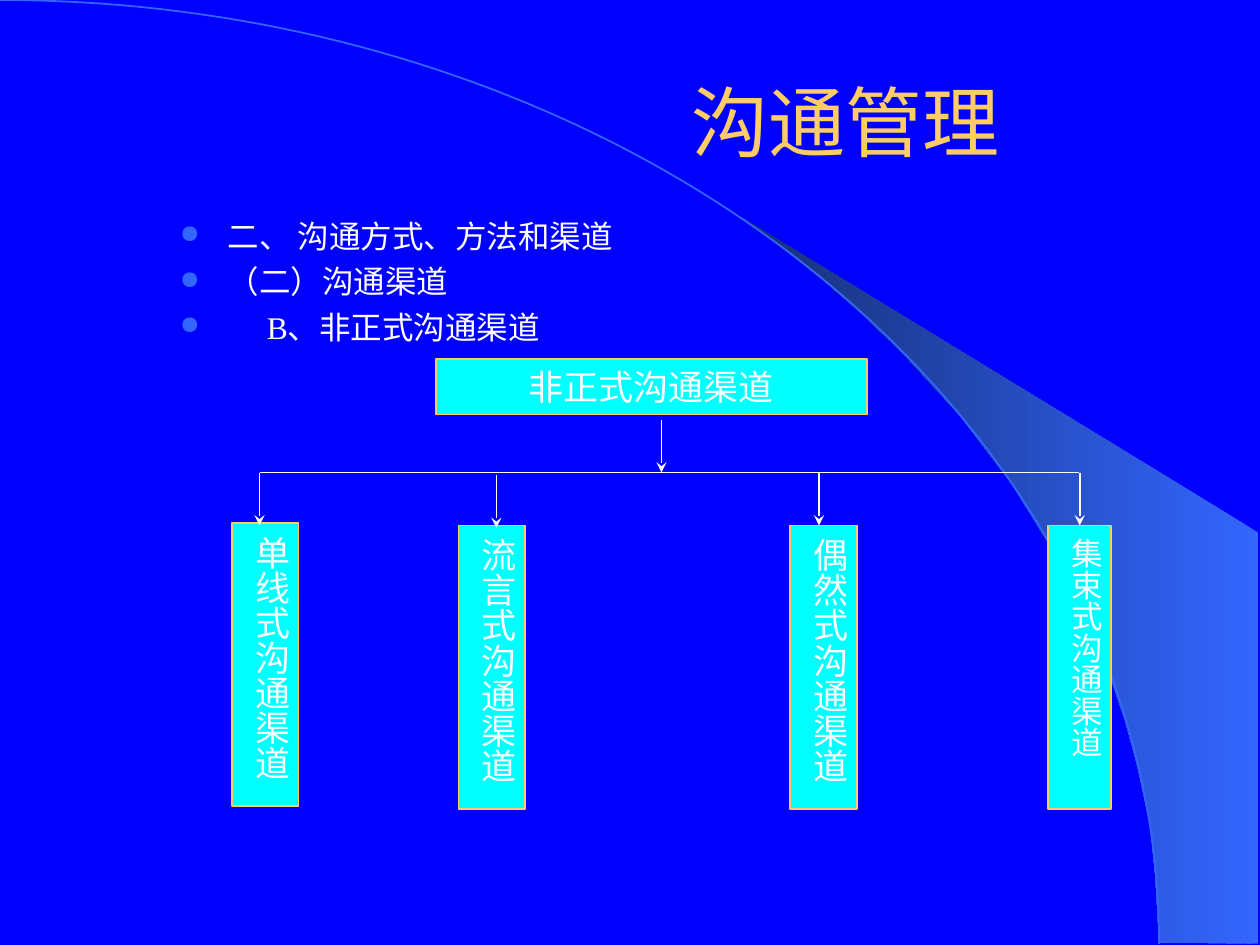
from dataclasses import dataclass
from math import cos, pi, sin

from lxml import etree
from pptx import Presentation
from pptx.dml.color import RGBColor
from pptx.enum.shapes import MSO_CONNECTOR, MSO_SHAPE
from pptx.enum.text import MSO_ANCHOR, PP_ALIGN
from pptx.oxml.ns import qn
from pptx.util import Inches, Pt

STRAIGHT = MSO_CONNECTOR.STRAIGHT
RECTANGLE = MSO_SHAPE.RECTANGLE
TOP, MIDDLE = MSO_ANCHOR.TOP, MSO_ANCHOR.MIDDLE
LEFT, CENTER = PP_ALIGN.LEFT, PP_ALIGN.CENTER
TOP_SIDE = 0
BLANK_LAYOUT = 6
COLUMNS, ROWS = 100, 75
CELL = Inches(10) / COLUMNS


@dataclass(frozen=True)
class Theme:
    background: str = "0000FF"
    accent: str = "3366FF"
    shade: str = "172F75"
    gold: str = "FFCC66"
    box: str = "00FFFF"
    text: str = "FFFFFF"
    heading_font: str = "Arial"
    body_font: str = "Times New Roman"
    title_size: int = 44
    box_size: int = 20
    body_size: int = 18
    line_width: int = 1


THEME = Theme()

RAY_OUTLINE = [
    (92, 74.8), (99.9, 74.9), (99.9, 42.3), (58.9, 17.3), (62.4, 19.9),
    (65.3, 22.2), (68.5, 25), (71.6, 28), (76.2, 33), (80.3, 38.4),
    (83.2, 43.1), (85.8, 47.9), (87.8, 52.8), (89.3, 57.2), (90.3, 60.9),
    (91.3, 65.6), (91.7, 69.6),
]
BULLETS = [  # text, indent of the text in columns
    ("二、 沟通方式、方法和渠道", 3.8),
    ("（二）沟通渠道", 3.8),
    ("B、非正式沟通渠道", 6.9),
]
BRANCHES = [  # text, left, top, width, text size, arrow column, arrow start row
    ("单线式沟通渠道", 18.4, 41.5, 5.3, THEME.box_size, 20.6, 37.5),
    ("流言式沟通渠道", 36.4, 41.7, 5.3, THEME.box_size, 39.4, 37.7),
    ("偶然式沟通渠道", 62.7, 41.7, 5.3, THEME.box_size, 65, 37.5),
    ("集束式沟通渠道", 83.2, 41.7, 5, THEME.body_size, 85.6, 37.5),
]
BRANCH_HEIGHT = 22.5
ARROW_LENGTH = 4.2
BAR_ROW = 37.5


def cells(*counts):
    """Turn grid counts into slide lengths."""
    return [round(count * CELL) for count in counts]


def color(value):
    return RGBColor.from_string(value)


def style_line(line, value):
    line.color.rgb = color(value)
    line.width = Pt(THEME.line_width)


def add_text(para, text, *, size, font=THEME.body_font, fill=THEME.text,
             align=LEFT, margin=0, hanging=0, space_before=0):
    properties = para._p.get_or_add_pPr()
    properties.set("marL", str(cells(margin)[0]))
    properties.set("indent", str(-cells(hanging)[0]))
    para.alignment = align
    para.space_before = Pt(space_before)
    span = para.add_run()
    span.text = text
    span.font.name = font
    span.font.size = Pt(size)
    span.font.color.rgb = color(fill)


def add_bullet(para):
    properties = para._p.get_or_add_pPr()
    bullet_color = etree.SubElement(properties, qn("a:buClr"))
    etree.SubElement(bullet_color, qn("a:srgbClr"), val=THEME.accent)
    etree.SubElement(properties, qn("a:buSzPct"), val="80000")
    etree.SubElement(properties, qn("a:buChar"), char="●")


def add_text_box(page, left, top, width, height, anchor=TOP):
    frame = page.shapes.add_textbox(*cells(left, top, width, height)).text_frame
    frame.word_wrap = True
    frame.vertical_anchor = anchor
    return frame


def add_box(page, text, left, top, width, height, size, vertical=False):
    box = page.shapes.add_shape(RECTANGLE, *cells(left, top, width, height))
    box.shadow.inherit = False
    box.fill.solid()
    box.fill.fore_color.rgb = color(THEME.box)
    style_line(box.line, THEME.gold)
    frame = box.text_frame
    frame.word_wrap = True
    frame.vertical_anchor = TOP
    if vertical:
        frame._txBody.bodyPr.set("vert", "eaVert")
        frame.margin_left, frame.margin_right = cells(0.5, 0.5)
        frame.margin_top, frame.margin_bottom = cells(1, 1)
    add_text(frame.paragraphs[0], text, size=size, align=CENTER)
    return box


def add_line(page, x1, y1, x2, y2, arrow=False):
    connector = page.shapes.add_connector(STRAIGHT, *cells(x1, y1, x2, y2))
    style_line(connector.line, THEME.text)
    if arrow:
        etree.SubElement(connector.line._get_or_add_ln(), qn("a:tailEnd"), type="stealth")
    etree.SubElement(connector._element.spPr, qn("a:effectLst"))
    return connector


def add_outline(page, points, close):
    first, *rest = [cells(*point) for point in points]
    builder = page.shapes.build_freeform(*first)
    builder.add_line_segments(rest, close=close)
    outline = builder.convert_to_shape()
    outline.shadow.inherit = False
    return outline


def add_backdrop(page):
    page.background.fill.solid()
    page.background.fill.fore_color.rgb = color(THEME.background)

    ray = add_outline(page, RAY_OUTLINE, close=True)
    ray.line.fill.background()
    ray.fill.gradient()
    ray.fill.gradient_angle = 180
    for stop, position, value in zip(ray.fill.gradient_stops, (0, 1),
                                     (THEME.accent, THEME.shade)):
        stop.position = position
        stop.color.rgb = color(value)

    radius_x, radius_y, steps = 92, 74.9, 90
    angles = [step * pi / 2 / steps for step in range(steps + 1)]
    arc = add_outline(page, [(radius_x * sin(angle), radius_y * (1 - cos(angle)))
                             for angle in angles], close=False)
    arc.fill.background()
    style_line(arc.line, THEME.accent)


def add_headings(page):
    title = add_text_box(page, 11.7, 3.3, 85, 12.5, MIDDLE)
    add_text(title.paragraphs[0], "沟通管理", size=THEME.title_size,
             font=THEME.heading_font, fill=THEME.gold, align=CENTER, margin=25.8)
    body = add_text_box(page, 13.3, 16.7, 82.5, 11.7)
    for index, (text, indent) in enumerate(BULLETS):
        para = body.add_paragraph() if index else body.paragraphs[0]
        add_bullet(para)
        add_text(para, text, size=THEME.body_size, margin=indent, hanging=indent,
                 space_before=4.5 if index else 0)


def add_channel_tree(page):
    add_box(page, "非正式沟通渠道", 34.6, 28.5, 34.2, 4.4, THEME.box_size)
    boxes = [add_box(page, text, left, top, width, BRANCH_HEIGHT, size, vertical=True)
             for text, left, top, width, size, *_ in BRANCHES]
    add_line(page, BRANCHES[0][5], BAR_ROW, BRANCHES[-1][5], BAR_ROW)
    for *_, column, start in BRANCHES:
        arrow = add_line(page, column, start, column, start + ARROW_LENGTH, arrow=True)
    arrow.end_connect(boxes[-1], TOP_SIDE)
    arrow.begin_x = arrow.end_x
    add_line(page, 52.5, BAR_ROW - ARROW_LENGTH, 52.5, BAR_ROW, arrow=True)


def main():
    deck = Presentation()
    deck.slide_width, deck.slide_height = cells(COLUMNS, ROWS)
    page = deck.slides.add_slide(deck.slide_layouts[BLANK_LAYOUT])
    add_backdrop(page)
    add_headings(page)
    add_channel_tree(page)
    deck.save("out.pptx")


if __name__ == "__main__":
    main()
